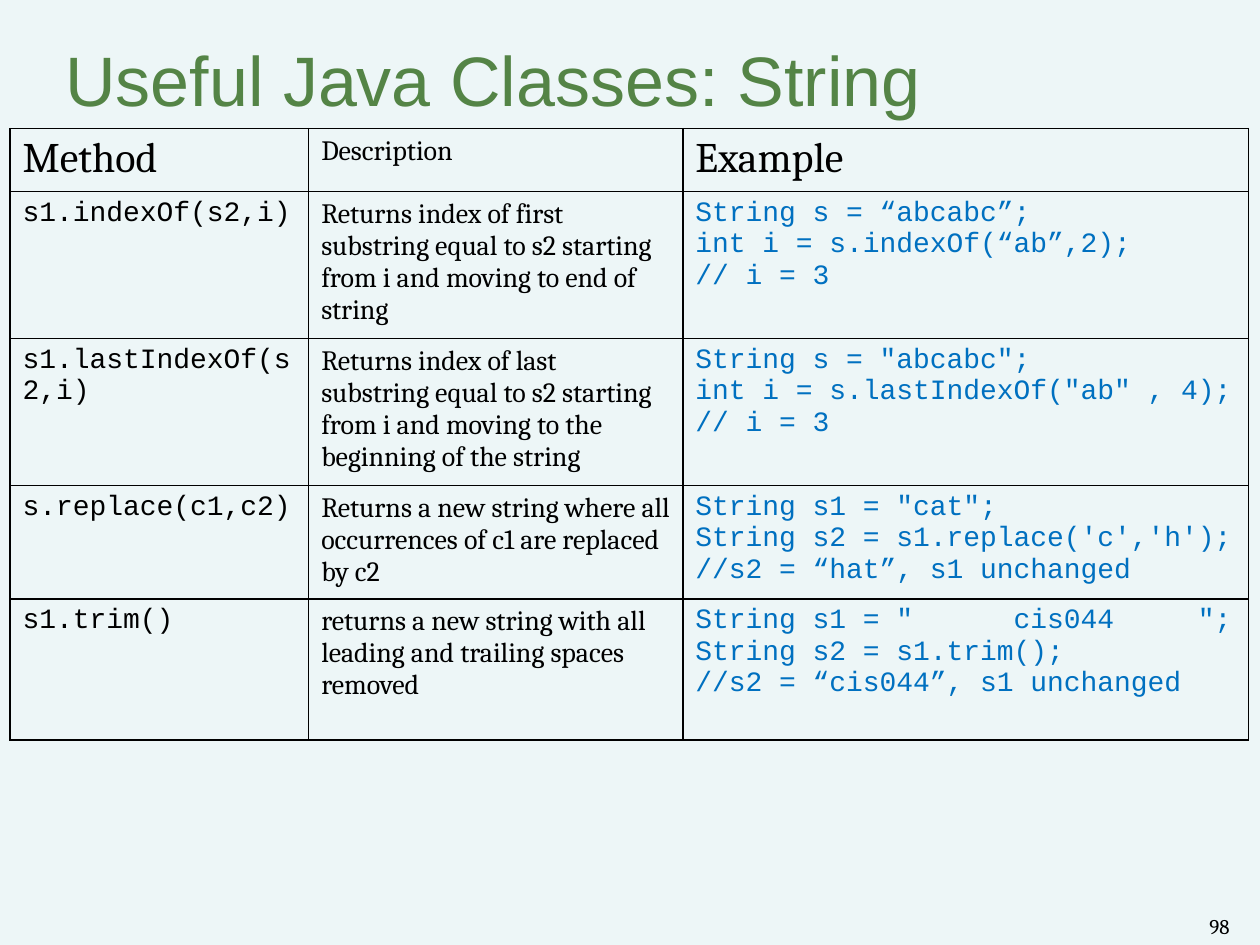
from lxml.etree import SubElement
from pptx import Presentation
from pptx.dml.color import RGBColor
from pptx.enum.text import MSO_ANCHOR, PP_ALIGN
from pptx.oxml.ns import qn
from pptx.util import Inches, Pt

COLORS = {"background": "EDF6F7", "title": "548446", "text": "000000", "code": "0070C0"}
FORMATS = {
    "title": {"name": "Arial", "size": Pt(40), "color": "title"},
    "heading": {"name": "Cambria", "size": Pt(24), "color": "text"},
    "description": {"name": "Cambria", "size": Pt(16), "color": "text"},
    "method": {"name": "Courier New", "size": Pt(16), "color": "text"},
    "example": {"name": "Courier New", "size": Pt(16), "color": "code"},
    "number": {"name": "Cambria", "size": Pt(12), "color": "text"},
}
COLUMN_WIDTHS = (2.37, 2.97, 4.49)
ROW_HEIGHTS = (0.48, 1.12, 1.12, 0.87, 1.12)
HEADINGS = ("Method", "Description", "Example")
HEADING_STYLES = ("heading", "description", "heading")
BODY_STYLES = ("method", "description", "example")
METHODS = (
    ("s1.indexOf(s2,i)",
     "Returns index of first substring equal to s2 starting from i and moving to end of string",
     "String s = “abcabc”;\nint i = s.indexOf(“ab”,2); \n// i = 3"),
    ("s1.lastIndexOf(s2,i)",
     "Returns index of last substring equal to s2 starting from i and moving to the "
     "beginning of the string",
     'String s = "abcabc";\nint i = s.lastIndexOf("ab" , 4);\n// i = 3'),
    ("s.replace(c1,c2)",
     "Returns a new string where all occurrences of c1 are replaced by c2",
     "String s1 = \"cat\";\nString s2 = s1.replace('c','h');\n//s2 = “hat”, s1 unchanged"),
    ("s1.trim()",
     "returns a new string with all leading and trailing spaces removed",
     'String s1 = "      cis044     ";\nString s2 = s1.trim();\n//s2 = “cis044”, s1 unchanged'),
)


def color(key):
    return RGBColor.from_string(COLORS[key])


def write(frame, text, style):
    frame.text = text
    for paragraph in frame.paragraphs:
        paragraph.alignment = PP_ALIGN.LEFT
        for run in paragraph.runs:
            for attribute, value in FORMATS[style].items():
                if attribute == "color":
                    run.font.color.rgb = color(value)
                else:
                    setattr(run.font, attribute, value)


def border(cell):
    properties = cell._tc.get_or_add_tcPr()
    for index, side in enumerate(("a:lnL", "a:lnR", "a:lnT", "a:lnB")):
        line = SubElement(properties, qn(side), w=str(Pt(1)))
        fill = SubElement(line, qn("a:solidFill"))
        SubElement(fill, qn("a:srgbClr"), val=COLORS["text"])
        properties.remove(line)
        properties.insert(index, line)


def place_title(slide, box):
    title = slide.shapes.title
    for attribute, value in zip(("left", "top", "width", "height"), box):
        setattr(title, attribute, Inches(value))
    write(title.text_frame, "Useful Java Classes: String", "title")
    title.text_frame.vertical_anchor = MSO_ANCHOR.MIDDLE


def place_methods(slide, left, top):
    rows = (HEADINGS, *METHODS)
    size = (sum(COLUMN_WIDTHS), sum(ROW_HEIGHTS))
    methods = slide.shapes.add_table(
        len(rows), len(HEADINGS), *map(Inches, (left, top, *size))).table
    methods.first_row = methods.horz_banding = False
    for column, width in zip(methods.columns, COLUMN_WIDTHS):
        column.width = Inches(width)
    for index, (row, height, texts) in enumerate(zip(methods.rows, ROW_HEIGHTS, rows)):
        row.height = Inches(height)
        styles = BODY_STYLES if index else HEADING_STYLES
        for cell, text, style in zip(row.cells, texts, styles):
            write(cell.text_frame, text, style)
            cell.fill.background()
            border(cell)


def place_number(slide, box):
    number = slide.shapes.add_textbox(*map(Inches, box)).text_frame
    number.word_wrap = True
    write(number, "98", "number")


def build():
    deck = Presentation()
    deck.slide_width, deck.slide_height = Inches(10), Inches(7.5)
    slide = deck.slides.add_slide(deck.slide_layouts[5])
    slide.background.fill.solid()
    slide.background.fill.fore_color.rgb = color("background")
    place_number(slide, (9.5, 7.2, 0.83, 0.3))
    place_title(slide, (0.42, 0, 9.17, 1.25))
    place_methods(slide, 0.08, 1.02)
    deck.save("out.pptx")


build()
